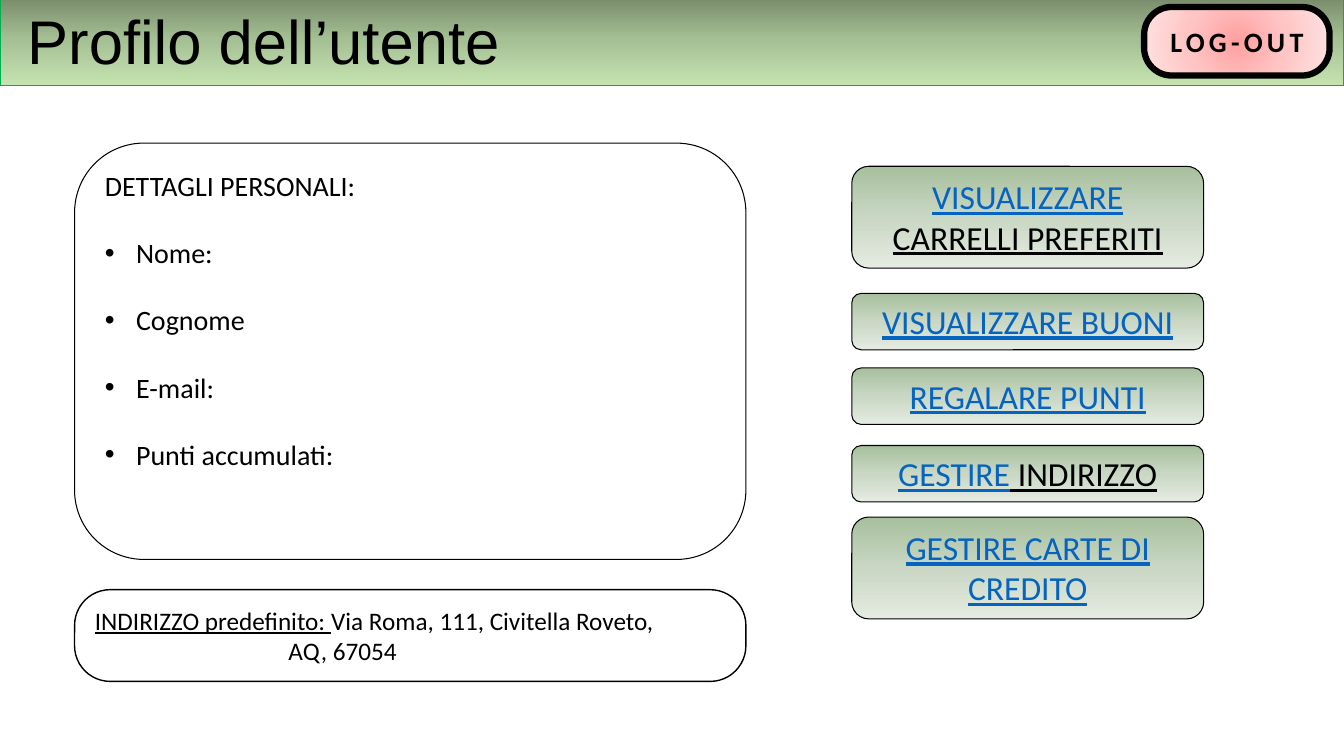
from dataclasses import dataclass

import lxml.etree
import pptx
import pptx.dml.color
import pptx.enum.shapes
import pptx.enum.text
import pptx.oxml.ns
import pptx.shapes.autoshape
import pptx.text.text
import pptx.util

SLIDE_WIDTH = pptx.util.Inches(13.333)
SLIDE_HEIGHT = pptx.util.Inches(7.5)
BLACK = "000000"
LINK_BLUE = "0563C1"
HEADER_GREENS = ("758768", "A6C095", "C5E3B0")
BUTTON_GREENS = ("A7C09D", "C9D7C4", "E5EBE2")
LOGOUT_REDS = ("FFA0A0", "FFC5C5", "FFE3E3")
ALIGN = pptx.enum.text.PP_ALIGN
ANCHOR = pptx.enum.text.MSO_ANCHOR


@dataclass(frozen=True)
class Area:
    """Left, top, width and height in percent of the slide's size."""
    left: float
    top: float
    width: float
    height: float


@dataclass(frozen=True)
class Span:
    text: str
    color: str = BLACK
    underline: bool = False


@dataclass(frozen=True)
class Button:
    top: float
    height: float
    spans: tuple[Span, ...]


ONE_LINE, TWO_LINES = 7.47, 13.47
BUTTON_LEFT, BUTTON_WIDTH = 63.38, 26.18
BUTTONS = (
    Button(22, TWO_LINES, (Span("VISUALIZZARE ", LINK_BLUE, True),
                           Span("CARRELLI PREFERITI", BLACK, True))),
    Button(38.8, ONE_LINE, (Span("VISUALIZZARE BUONI", LINK_BLUE, True),)),
    Button(48.67, ONE_LINE, (Span("REGALARE PUNTI", LINK_BLUE, True),)),
    Button(58.93, ONE_LINE, (Span("GESTIRE", LINK_BLUE, True),
                             Span(" INDIRIZZO", BLACK, True))),
    Button(68.4, TWO_LINES, (Span("GESTIRE CARTE DI CREDITO", LINK_BLUE, True),)),
)
DETAILS = ("Nome:", "Cognome", "E-mail:", "Punti accumulati:")


def rgb(color: str) -> pptx.dml.color.RGBColor:
    return pptx.dml.color.RGBColor.from_string(color)


def place(shape, area: Area) -> None:
    shape.left = int(SLIDE_WIDTH * area.left / 100)
    shape.top = int(SLIDE_HEIGHT * area.top / 100)
    shape.width = int(SLIDE_WIDTH * area.width / 100)
    shape.height = int(SLIDE_HEIGHT * area.height / 100)


def outline(shape, color: str, width: float) -> None:
    shape.line.color.rgb = rgb(color)
    shape.line.width = pptx.util.Pt(width)


def fill_gradient(shape, colors: tuple[str, ...], radial: bool = False) -> None:
    """Spread the colours evenly, from top to bottom or from the centre out."""
    shape.fill.gradient()
    gradient = shape.element.spPr.find(pptx.oxml.ns.qn("a:gradFill"))
    for child in list(gradient):
        gradient.remove(child)

    def add(parent, tag: str, **attributes: str):
        return lxml.etree.SubElement(parent, pptx.oxml.ns.qn(tag), attributes)

    stops = add(gradient, "a:gsLst")
    for index, color in enumerate(colors):
        stop = add(stops, "a:gs", pos=str(100000 * index // (len(colors) - 1)))
        add(stop, "a:srgbClr", val=color)
    if radial:
        circle = add(gradient, "a:path", path="circle")
        add(circle, "a:fillToRect", l="50000", t="50000", r="50000", b="50000")
    else:
        add(gradient, "a:lin", ang="5400000", scaled="0")


def add_rounded_box(page, area: Area, line_width: float = 0.75,
                    corner: float = 0.1667) -> pptx.shapes.autoshape.Shape:
    box = page.shapes.add_shape(
        pptx.enum.shapes.MSO_SHAPE.ROUNDED_RECTANGLE, 0, 0, 0, 0)
    place(box, area)
    box.adjustments[0] = corner
    box.shadow.inherit = False
    box.fill.background()
    outline(box, BLACK, line_width)
    box.text_frame.word_wrap = True
    box.text_frame.vertical_anchor = ANCHOR.TOP
    return box


def write(para: pptx.text.text._Paragraph, spans: tuple[Span, ...], size: float,
          align: ALIGN = ALIGN.LEFT, font: str = "Calibri") -> None:
    para.alignment = align
    for span in spans:
        run = para.add_run()
        run.text = span.text
        run.font.name = font
        run.font.size = pptx.util.Pt(size)
        run.font.color.rgb = rgb(span.color)
        run.font.underline = span.underline


def indent(para: pptx.text.text._Paragraph, margin: float, first: float = 0) -> None:
    properties = para._p.get_or_add_pPr()
    properties.set("marL", str(pptx.util.Inches(margin)))
    properties.set("indent", str(pptx.util.Inches(first)))


def add_bullet(para: pptx.text.text._Paragraph) -> None:
    properties = para._p.get_or_add_pPr()
    for tag, name, value in (("a:buFont", "typeface", "Arial"),
                             ("a:buChar", "char", "•")):
        lxml.etree.SubElement(properties, pptx.oxml.ns.qn(tag), {name: value})


def format_title(page) -> None:
    title = page.shapes.title
    place(title, Area(0, -0.8, 100, 12.13))
    fill_gradient(title, HEADER_GREENS)
    outline(title, "00B050", 1)
    frame = title.text_frame
    frame.auto_size = pptx.enum.text.MSO_AUTO_SIZE.NONE
    frame.vertical_anchor = ANCHOR.MIDDLE
    frame.margin_left = pptx.util.Inches(0.27)
    write(frame.paragraphs[0], (Span("Profilo dell’utente"),), 44, font="Arial")


def add_details(page) -> None:
    frame = add_rounded_box(page, Area(5.55, 18.93, 49.95, 55.07)).text_frame
    write(frame.paragraphs[0], (Span("DETTAGLI PERSONALI:"),), 20)
    for label in DETAILS:
        para = frame.add_paragraph()
        write(para, (Span(label),), 20)
        para.space_before = pptx.util.Pt(24)
        indent(para, 0.31, -0.31)
        add_bullet(para)


def add_address(page) -> None:
    box = add_rounded_box(page, Area(5.55, 78, 49.95, 12.13), 1, 0.389)
    first = box.text_frame.paragraphs[0]
    write(first, (Span("INDIRIZZO predefinito: ", underline=True),
                  Span("Via Roma, 111, Civitella Roveto,")), 18)
    second = box.text_frame.add_paragraph()
    write(second, (Span("AQ, 67054"),), 18)
    indent(second, 1.92)


def add_button(page, button: Button) -> None:
    box = add_rounded_box(
        page, Area(BUTTON_LEFT, button.top, BUTTON_WIDTH, button.height))
    fill_gradient(box, BUTTON_GREENS)
    write(box.text_frame.paragraphs[0], button.spans, 24, ALIGN.CENTER)


def add_logout(page) -> None:
    box = add_rounded_box(page, Area(85.13, 0.93, 13.8, 9.07), 4.5, 0.402)
    fill_gradient(box, LOGOUT_REDS, radial=True)
    box.text_frame.vertical_anchor = ANCHOR.MIDDLE
    para = box.text_frame.paragraphs[0]
    write(para, (Span("LOG-OUT"),), 20, ALIGN.CENTER)
    para.runs[0].font.bold = True
    para.runs[0].font._element.set("spc", "300")


def main() -> None:
    deck = pptx.Presentation()
    deck.slide_width, deck.slide_height = SLIDE_WIDTH, SLIDE_HEIGHT
    page = deck.slides.add_slide(deck.slide_layouts.get_by_name("Title Only"))
    format_title(page)
    add_details(page)
    for button in BUTTONS:
        add_button(page, button)
    add_address(page)
    add_logout(page)
    deck.save("out.pptx")


if __name__ == "__main__":
    main()
